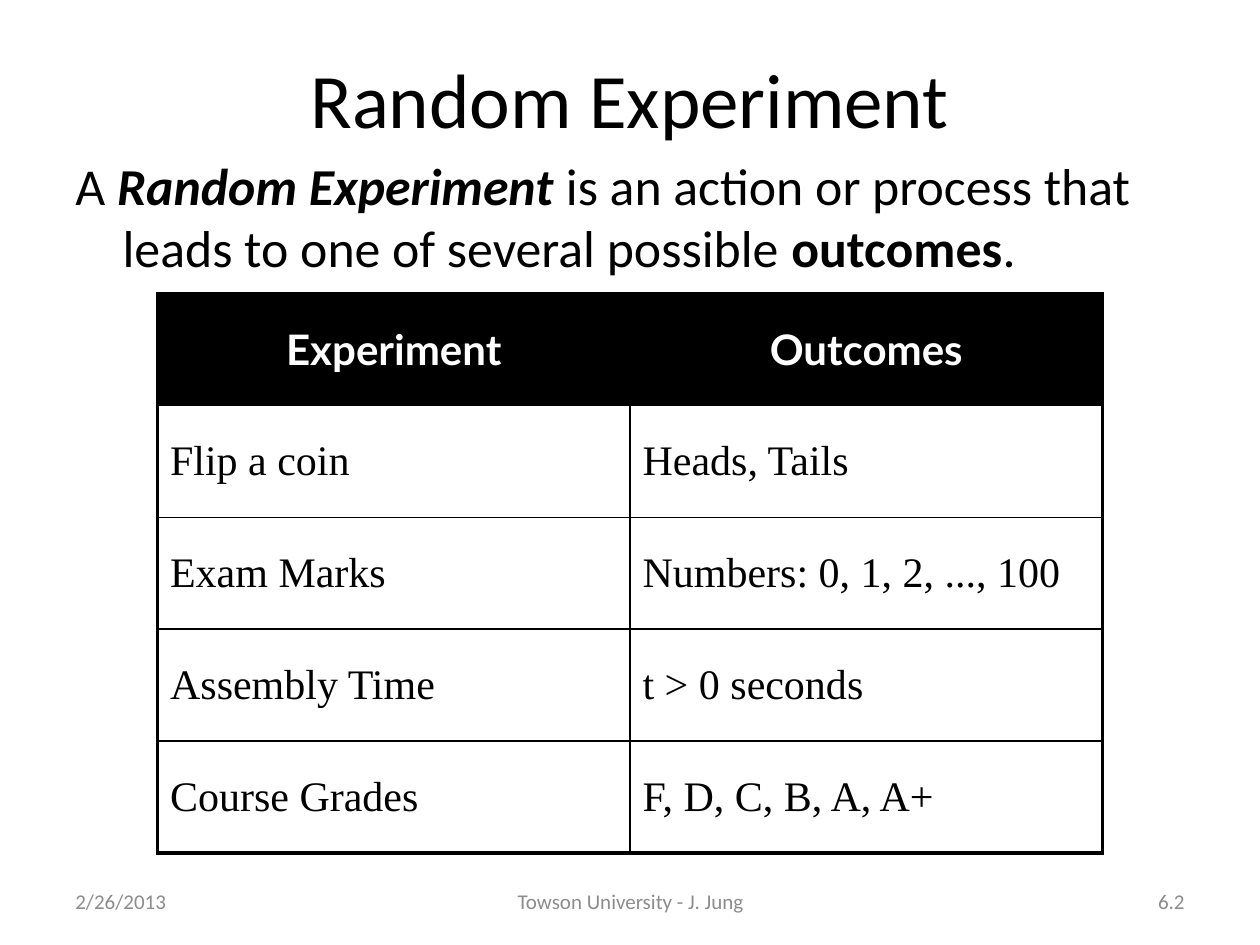
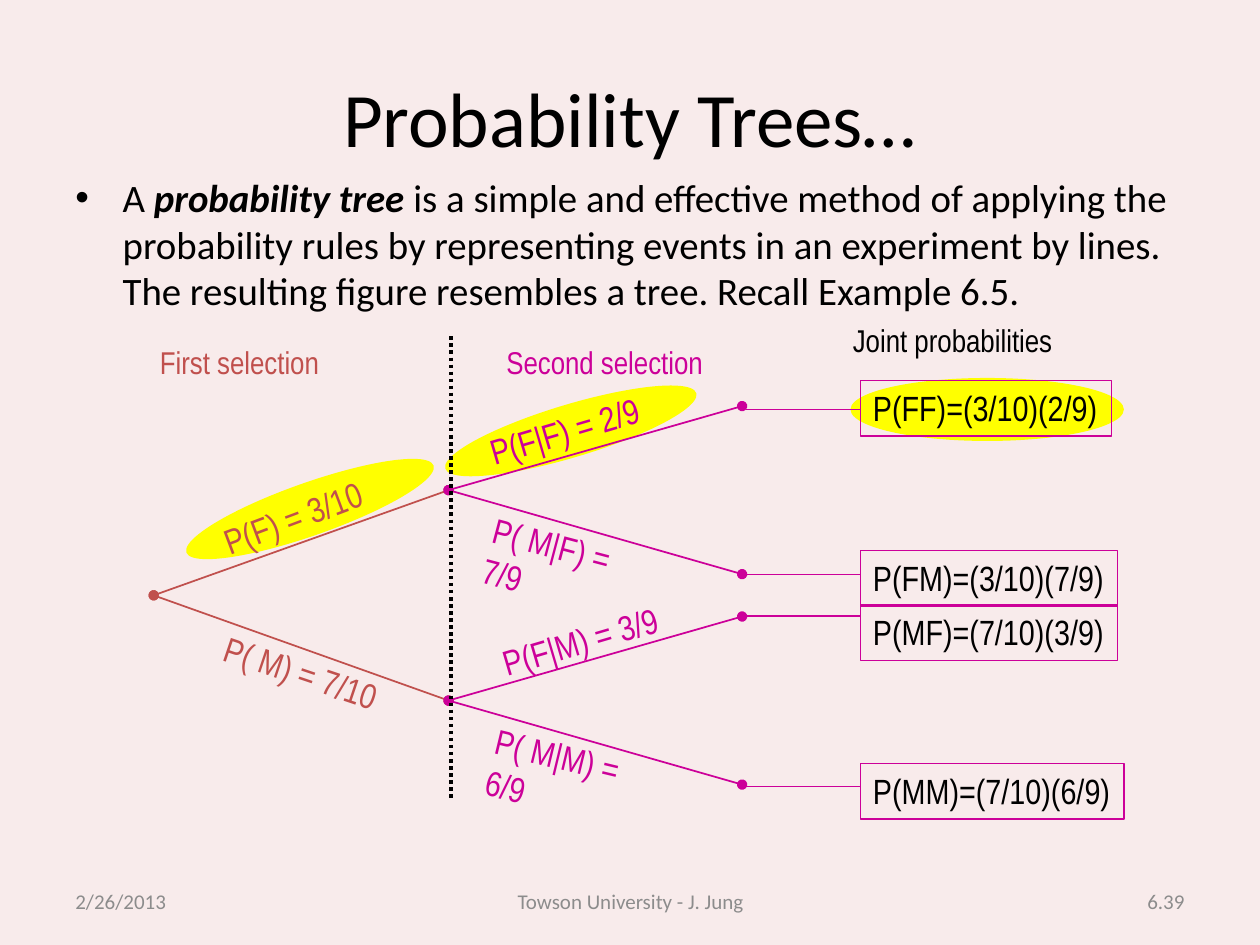
from dataclasses import dataclass

from lxml import etree
from pptx import Presentation
from pptx import util as u
from pptx.dml import color
from pptx.enum import dml, shapes, text
from pptx.oxml import ns

COLUMNS, ROWS = 100, 75
LEFT, CENTER, RIGHT = text.PP_ALIGN.LEFT, text.PP_ALIGN.CENTER, text.PP_ALIGN.RIGHT
TOP, MIDDLE = text.MSO_ANCHOR.TOP, text.MSO_ANCHOR.MIDDLE
STRONG = {"bold": True}
TERM = {"bold": True, "italic": True}


@dataclass(frozen=True)
class Theme:
    """Colours, fonts and type sizes of the presentation."""
    ink: str = "000000"
    paper: str = "FFFFFF"
    blush: str = "F8EBEB"
    muted: str = "8C8C8C"
    first: str = "C0504D"
    second: str = "CC0099"
    marker: str = "FFFF00"
    main: str = "Calibri"
    narrow: str = "Arial Narrow"
    header: str = "Lato"
    serif: str = "Times New Roman"
    title: float = 44
    lead: float = 29.6
    body: float = 22.2
    cell: float = 24
    label: float = 20
    caption: float = 18
    footer: float = 12
    thin: float = 0.75
    line: float = 1
    dotted: float = 2
    frame: float = 2.25


THEME = Theme()


def assign(target, values):
    """Set each named attribute of the target."""
    for name, value in values.items():
        setattr(target, name, value)


def rgb(value):
    """Turn a hex string into a colour."""
    return color.RGBColor.from_string(value)


def add_xml(parent, tag, **attributes):
    """Append a DrawingML element to the parent."""
    return etree.SubElement(parent, ns.qn(f"a:{tag}"), attributes)


class Deck:
    """Presentation style and the slide being drawn."""

    def __init__(self, theme):
        """Start an empty presentation of 10 by 7.5 inches."""
        self.theme = theme
        self.presentation = Presentation()
        assign(self.presentation, {"slide_width": u.Inches(10), "slide_height": u.Inches(7.5)})
        self.slide = None

    def x(self, columns):
        """Convert grid columns to a length."""
        return round(self.presentation.slide_width * columns / COLUMNS)

    def y(self, rows):
        """Convert grid rows to a length."""
        return round(self.presentation.slide_height * rows / ROWS)

    def box(self, left, top, width, height):
        """Convert a grid box to lengths."""
        return self.x(left), self.y(top), self.x(width), self.y(height)

    def new_slide(self, title, title_box, number, background):
        """Add a slide with its title and footer."""
        self.slide = self.presentation.slides.add_slide(self.presentation.slide_layouts[6])
        fill = self.slide.background.fill
        fill.solid()
        fill.fore_color.rgb = rgb(background)
        self.text(title_box, title, self.theme.title, align=CENTER, anchor=MIDDLE)
        footers = (
            (5, 23.3, "2/26/2013", LEFT),
            (34.2, 31.7, "Towson University - J. Jung", CENTER),
            (71.7, 23.3, number, RIGHT),
        )
        for left, width, content, align in footers:
            self.text((left, 69.5, width, 4), content, self.theme.footer,
                      ink=self.theme.muted, align=align, anchor=MIDDLE)

    def add_runs(self, paragraph, content, size, font, ink, align=LEFT, bold=False):
        """Fill a paragraph with a string or with formatted runs."""
        paragraph.alignment = align
        runs = [(content, {})] if isinstance(content, str) else content
        for words, emphasis in runs:
            run = paragraph.add_run()
            run.text = words
            assign(run.font, {"name": font, "size": u.Pt(size), "bold": bold, **emphasis})
            run.font.color.rgb = rgb(ink)

    def text(self, box, content, size, ink=None, align=LEFT, anchor=TOP):
        """Add a wrapping text box and return its paragraph."""
        frame = self.slide.shapes.add_textbox(*self.box(*box)).text_frame
        assign(frame, {"word_wrap": True, "vertical_anchor": anchor})
        paragraph = frame.paragraphs[0]
        self.add_runs(paragraph, content, size, self.theme.main, ink or self.theme.ink, align)
        return paragraph

    def body(self, box, content, size, bullet=None):
        """Add a hanging paragraph, with a bullet if one is given."""
        properties = self.text(box, content, size)._p.get_or_add_pPr()
        hang = self.x(3.75)
        properties.set("marL", str(hang))
        properties.set("indent", str(-hang))
        if bullet:
            add_xml(properties, "buFont", typeface="Arial")
            add_xml(properties, "buChar", char=bullet)

    def label(self, box, content, size, ink, rotation=0, outline=None):
        """Add a narrow one-line label, turned or outlined on request."""
        if outline:
            shape = self.shape(shapes.MSO_SHAPE.RECTANGLE, box, outline=outline)
        else:
            shape = self.slide.shapes.add_textbox(*self.box(*box))
        shape.rotation = rotation
        frame = shape.text_frame
        assign(frame, {"word_wrap": False, "vertical_anchor": TOP,
                       "auto_size": text.MSO_AUTO_SIZE.SHAPE_TO_FIT_TEXT})
        self.add_runs(frame.paragraphs[0], content, size, self.theme.narrow, ink)

    def shape(self, kind, box, fill=None, outline=None, rotation=0):
        """Add a preset shape with a plain fill or outline."""
        shape = self.slide.shapes.add_shape(kind, *self.box(*box))
        shape.shadow.inherit = False
        shape.rotation = rotation
        for paint, value in ((shape.fill, fill), (shape.line.fill, outline)):
            if value:
                paint.solid()
                paint.fore_color.rgb = rgb(value)
            else:
                paint.background()
        if outline:
            shape.line.width = u.Pt(self.theme.thin)
        return shape

    def line(self, start, end, ink, width, dash=None, dots=False):
        """Draw a straight line, with round ends if dots is set."""
        connector = self.slide.shapes.add_connector(
            shapes.MSO_CONNECTOR.STRAIGHT,
            self.x(start[0]), self.y(start[1]), self.x(end[0]), self.y(end[1]))
        connector.line.color.rgb = rgb(ink)
        assign(connector.line, {"width": u.Pt(width), "dash_style": dash})
        properties = connector.element.spPr
        if dots:
            for tag in ("headEnd", "tailEnd"):
                add_xml(properties.find(ns.qn("a:ln")), tag, type="oval")
        add_xml(properties, "effectLst")

    def border(self, cell, edges):
        """Draw the four borders of a cell, heavy on the outer edges."""
        properties = cell._tc.get_or_add_tcPr()
        for tag, outer in edges.items():
            weight = self.theme.frame if outer else self.theme.line
            edge = add_xml(properties, tag, w=str(u.Pt(weight)))
            add_xml(add_xml(edge, "solidFill"), "srgbClr", val=self.theme.ink)

    def table(self, box, rows):
        """Add a framed table with a dark header row."""
        count, width = len(rows), len(rows[0])
        table = self.slide.shapes.add_table(count, width, *self.box(*box)).table
        assign(table, {"first_row": False, "horz_banding": False})
        header = {"font": self.theme.header, "ink": self.theme.paper,
                  "align": CENTER, "bold": True}
        plain = {"font": self.theme.serif, "ink": self.theme.ink}
        for row, entries in enumerate(rows):
            for column, entry in enumerate(entries):
                cell = table.cell(row, column)
                cell.vertical_anchor = MIDDLE
                self.border(cell, {"lnL": column == 0, "lnR": column == width - 1,
                                   "lnT": row == 0, "lnB": row == count - 1})
                if row == 0:
                    cell.fill.solid()
                    cell.fill.fore_color.rgb = rgb(self.theme.ink)
                else:
                    cell.fill.background()
                self.add_runs(cell.text_frame.paragraphs[0], entry, self.theme.cell,
                              **(plain if row else header))


def random_experiment(deck):
    """Build the slide on random experiments."""
    deck.new_slide("Random Experiment", (5, 3, 90, 9.5), "6.2", THEME.paper)
    deck.body((5, 11.7, 90, 10), [
        ("A ", {}),
        ("Random Experiment ", TERM),
        ("is an action or process that leads to one of several possible ", {}),
        ("outcomes", STRONG),
        (".", {}),
    ], THEME.lead)
    deck.table((12.5, 23.3, 75, 44.4), [
        ("Experiment", "Outcomes"),
        ("Flip a coin", "Heads, Tails"),
        ("Exam Marks", "Numbers: 0, 1, 2, ..., 100"),
        ("Assembly Time", "t > 0 seconds"),
        ("Course Grades", "F, D, C, B, A, A+"),
    ])


def draw_branches(deck):
    """Draw the two stages of the tree from root to leaves."""
    root_x, fork_x, leaf_x = 12.2, 35.6, 58.9
    root_y, fork_rise, leaf_rise = 47.25, 8.35, 6.67
    for side in (1, -1):
        fork = (fork_x, root_y + side * fork_rise)
        deck.line((root_x, root_y), fork, THEME.first, THEME.line, dots=True)
    for side in (-1, 1):
        fork = (fork_x, root_y + side * fork_rise)
        for turn in (1, -1):
            leaf = (leaf_x, fork[1] + turn * leaf_rise)
            deck.line(fork, leaf, THEME.second, THEME.line, dots=True)


def probability_trees(deck):
    """Build the slide with the probability tree."""
    deck.new_slide("Probability Trees…", (5, 3, 90, 12.5), "6.39", THEME.blush)
    deck.body((5, 13.3, 90, 13.3), [
        ("A ", {}),
        ("probability tree", TERM),
        (" is a simple and effective method of applying the probability rules by "
         "representing events in an experiment by lines. The resulting figure "
         "resembles a tree. Recall Example 6.5.", {}),
    ], THEME.body, bullet="•")

    highlights = (
        ((67.5, 30, 21.7, 5), 0),
        ((34.9, 32.1, 20.8, 4.2), 343.3),
        ((14.2, 38.3, 20.8, 4.2), 340.6),
    )
    for box, rotation in highlights:
        deck.shape(shapes.MSO_SHAPE.OVAL, box, fill=THEME.marker, rotation=rotation)

    captions = (
        ((11.7, 26.7, 18.9, 5), "First selection", THEME.first),
        ((39.2, 26.7, 22.9, 5), "Second selection", THEME.second),
        ((66.7, 25, 23.2, 5), "Joint probabilities", THEME.ink),
    )
    for box, caption, ink in captions:
        deck.label(box, caption, THEME.caption, ink)

    draw_branches(deck)
    branch_labels = (
        (16.5, 38.9, 13.5, 339.5, "P(F) = 3/10", THEME.first),
        (16.6, 51.2, 14.6, 18.7, "P( M) = 7/10", THEME.first),
        (38.7, 48.7, 14.7, 343.6, "P(F|M) = 3/9", THEME.second),
        (37.7, 32, 14.2, 343.6, "P(F|F) = 2/9", THEME.second),
        (38.2, 58.2, 15.8, 13.5, "P( M|M) = 6/9", THEME.second),
        (38, 41.5, 15.3, 14.8, "P( M|F) = 7/9", THEME.second),
    )
    for left, top, width, rotation, content, ink in branch_labels:
        deck.label((left, top, width, 4.3), content, THEME.label, ink, rotation)
    deck.line((35.8, 26.7), (35.8, 63.3), THEME.ink, THEME.dotted,
              dash=dml.MSO_LINE.ROUND_DOT)

    joint_left = 68.3
    joints = (
        (30.2, 19.9, 32.5, "P(FF)=(3/10)(2/9)"),
        (43.7, 20.4, 45.6, "P(FM)=(3/10)(7/9)"),
        (48, 20.4, 48.9, "P(MF)=(7/10)(3/9)"),
        (60.6, 20.9, 62.4, "P(MM)=(7/10)(6/9)"),
    )
    for top, width, link_y, content in joints:
        deck.label((joint_left, top, width, 4.4), content, THEME.label, THEME.ink,
                   outline=THEME.second)
        deck.line((59.2, link_y), (joint_left, link_y), THEME.second, THEME.thin)


def main():
    """Build and save the presentation."""
    deck = Deck(THEME)
    random_experiment(deck)
    probability_trees(deck)
    deck.presentation.save("out.pptx")


if __name__ == "__main__":
    main()
